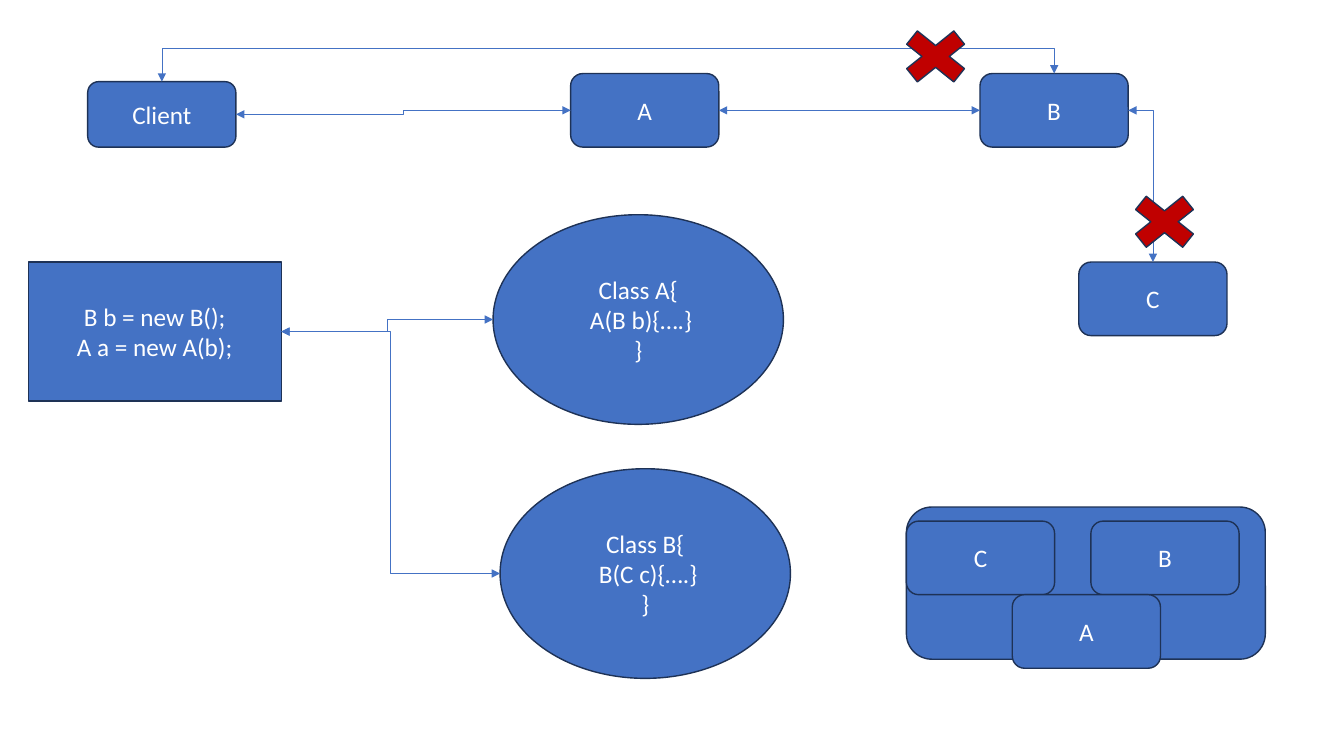
"""Build a slide on how classes A, B and C depend on each other."""
from lxml.etree import SubElement
from pptx import Presentation
from pptx.dml.color import RGBColor
from pptx.enum.shapes import MSO_CONNECTOR, MSO_SHAPE
from pptx.enum.text import MSO_ANCHOR, PP_ALIGN
from pptx.oxml.ns import qn
from pptx.util import Inches, Pt

BLUE, NAVY, RED, WHITE = "4472C4", "1E3256", "C00000", "FFFFFF"
ROUND, OVAL = MSO_SHAPE.ROUNDED_RECTANGLE, MSO_SHAPE.OVAL
RECT, CROSS = MSO_SHAPE.RECTANGLE, MSO_SHAPE.MATH_MULTIPLY
CARD, DISC, MARK = (1.47, 0.73), (2.88, 2.08), (0.9, 0.72)
ROW = 0.73

BOXES = {
    "class a": (OVAL, 4.89, 2.13, DISC, ["Class A{", " A(B b){….}", "}"]),
    "code": (RECT, 0.28, 2.6, (2.51, 1.38), ["B b = new B();", "A a = new A(b);"]),
    "client": (ROUND, 0.87, 0.81, (1.47, 0.65), ["Client"]),
    "a": (ROUND, 5.66, ROW, CARD, ["A"]),
    "b": (ROUND, 9.72, ROW, CARD, ["B"]),
    "class b": (OVAL, 4.96, 4.65, DISC, ["Class B{", " B(C c){….}", "}"]),
    "c": (ROUND, 10.7, 2.6, CARD, ["C"]),
    "pool": (ROUND, 8.99, 5.03, (3.56, 1.51), []),
    "pool c": (ROUND, 8.99, 5.17, CARD, ["C"]),
    "pool b": (ROUND, 10.82, 5.17, CARD, ["B"]),
    "pool a": (ROUND, 10.04, 5.17 + CARD[1], CARD, ["A"]),
}
LINKS = [
    ("code", "right", "class a", "left"),
    ("a", "right", "b", "left"),
    ("client", "right", "a", "left"),
    ("client", "top", "b", "top"),
    ("code", "right", "class b", "left"),
    ("b", "right", "c", "top"),
]
MARKS = [(11.1, 1.84), (8.83, 0.2)]
SIDES = {"top": (0.5, 0), "left": (0, 0.5), "right": (1, 0.5)}
LIFT = Inches(0.33)


def color(code):
    return RGBColor.from_string(code)


def draw(kind, left, top, size, fill, lines=()):
    shape = slide.shapes.add_shape(kind, *map(Inches, (left, top, *size)))
    shape.shadow.inherit = False
    shape.fill.solid()
    shape.fill.fore_color.rgb = color(fill)
    shape.line.color.rgb = color(NAVY)
    shape.line.width = Pt(1)
    frame = shape.text_frame
    frame.vertical_anchor = MSO_ANCHOR.MIDDLE
    frame.text = "\n".join(lines)
    for para in frame.paragraphs:
        para.alignment = PP_ALIGN.CENTER
        para.font.name, para.font.size = "Calibri", Pt(18)
        para.font.color.rgb = color(WHITE)
    return shape


def point(shape, side):
    across, down = SIDES[side]
    return (round(shape.left + across * shape.width),
            round(shape.top + down * shape.height))


def arch(link, start, end):
    """Turn a link so that it leaves and enters from above."""
    (x1, y1), (x2, y2) = start, end
    wide, high = y1 - y2, x2 - x1
    link.left, link.top = (x1 + x2 - wide) // 2, (y1 + y2 - high) // 2
    link.width, link.height = wide, high
    props = link._element.spPr
    frame = props.find(qn("a:xfrm"))
    for key, value in (("rot", "5400000"), ("flipH", "1"), ("flipV", "1")):
        frame.set(key, value)
    guides = props.find(qn("a:prstGeom")).find(qn("a:avLst"))
    bend = round(LIFT / wide * 100000)
    SubElement(guides, qn("a:gd"), name="adj1", fmla=f"val {bend}")


def join(first, out, last, into):
    start, end = point(shapes[first], out), point(shapes[last], into)
    link = slide.shapes.add_connector(MSO_CONNECTOR.ELBOW, *start, *end)
    link.line.color.rgb = color(BLUE)
    link.line.width = Pt(0.5)
    props = link._element.spPr
    for tip in ("headEnd", "tailEnd"):
        SubElement(props.find(qn("a:ln")), qn("a:" + tip), type="triangle")
    SubElement(props, qn("a:effectLst"))
    if out == "top":
        arch(link, start, end)
    elif into == "top":
        props.find(qn("a:prstGeom")).set("prst", "bentConnector2")


deck = Presentation()
deck.slide_width, deck.slide_height = Inches(13.33), Inches(7.5)
slide = deck.slides.add_slide(deck.slide_layouts[6])
shapes = {name: draw(kind, left, top, size, BLUE, lines)
          for name, (kind, left, top, size, lines) in BOXES.items()}
for ends in LINKS:
    join(*ends)
for left, top in MARKS:
    draw(CROSS, left, top, MARK, RED)
deck.save("out.pptx")
